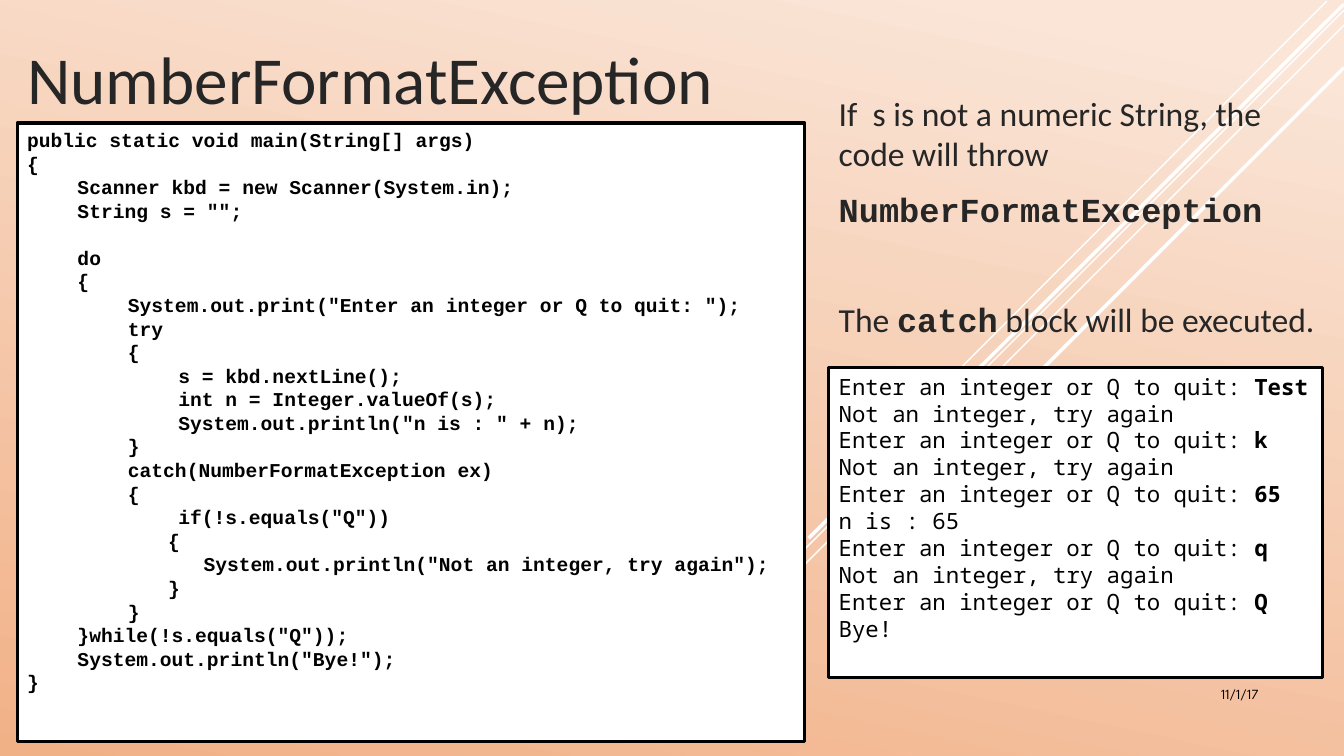
import pptx
import pptx.dml.color
import pptx.enum.shapes
import pptx.enum.text
import pptx.oxml.ns
import pptx.util
from dataclasses import dataclass
from pptx.util import Inches

TITLE = "NumberFormatException"
DATE = "11/1/17"

CODE = [
    (0, "public static void main(String[] args)"),
    (0, "{"),
    (1, "Scanner kbd = new Scanner(System.in);"),
    (1, "String s = \"\";"),
    (1, "do"),
    (1, "{"),
    (2, "System.out.print(\"Enter an integer or Q to quit: \");"),
    (2, "try"),
    (2, "{"),
    (3, "s = kbd.nextLine();"),
    (3, "int n = Integer.valueOf(s);"),
    (3, "System.out.println(\"n is : \" + n);"),
    (2, "}"),
    (2, "catch(NumberFormatException ex)"),
    (2, "{"),
    (3, "if(!s.equals(\"Q\"))"),
    (2.8, "{"),
    (3.5, "System.out.println(\"Not an integer, try again\");"),
    (2.8, "}"),
    (2, "}"),
    (1, "}while(!s.equals(\"Q\"));"),
    (1, "System.out.println(\"Bye!\");"),
    (0, "}"),
]
SECTION_START = "do"

PROMPT = "Enter an integer or Q to quit: "
RETRY = "Not an integer, try again"
SESSION = [("Test", RETRY), ("k", RETRY), ("65", "n is : 65"), ("q", RETRY), ("Q", "Bye!")]

DIAGONALS = [
    ((13.16, 0.01), (9, 4.18), 1),
    ((13.33, 0.1), (6.68, 6.75), 1),
    ((13.33, 0.25), (7.91, 5.67), 1),
    ((13.33, 0.04), (8.02, 5.34), 2.5),
    ((13.33, 0.67), (8.58, 5.42), 2.5),
]


@dataclass(frozen=True)
class Theme:
    paper: str = "FFFFFF"
    ink: str = "000000"
    heading: str = "262626"
    stops: tuple = ((0.07, "FAE5D7"), (1, "F1B187"))
    gradient_angle: int = 258
    body_font: str = "Calibri"
    code_font: str = "Courier New"
    console_font: str = "Noto Sans Mono"
    date_font: str = "League Spartan"
    title_size: int = 48
    body_size: int = 24
    console_size: int = 16
    code_size: int = 14
    date_size: int = 10
    border: float = 2.25
    code_pitch: float = 16.85
    console_pitch: float = 19.2
    tab: float = 0.5


T = Theme()
Pt = pptx.util.Pt
ALIGN = pptx.enum.text.PP_ALIGN
ANCHOR = pptx.enum.text.MSO_ANCHOR
NOTE = [
    dict(runs=["If  s is not a numeric String, the code will throw"], before=5),
    dict(runs=[("NumberFormatException", True, T.code_font)], before=5),
    dict(runs=["The ", ("catch", True, T.code_font), " block will be executed."], before=44),
]


def rgb(value):
    return pptx.dml.color.RGBColor.from_string(value)


def add_text(sp, paragraphs, font, size, color, bold=False, align=ALIGN.LEFT,
             anchor=ANCHOR.TOP, pitch=None, after=0):
    tf = sp.text_frame
    tf.word_wrap = True
    tf.vertical_anchor = anchor
    for i, item in enumerate(paragraphs):
        p = tf.add_paragraph() if i else tf.paragraphs[0]
        p.alignment = align
        p.space_before = Pt(item.get("before", 0))
        p.space_after = Pt(after)
        if pitch:
            p.line_spacing = Pt(pitch)
        if item.get("indent"):
            p._p.get_or_add_pPr().set("marL", str(Inches(item["indent"])))
        for run in item["runs"]:
            text, strong, face = (run, bold, font) if isinstance(run, str) else run
            r = p.add_run()
            r.text = text
            r.font.name = face
            r.font.size = Pt(size)
            r.font.bold = strong
            r.font.color.rgb = rgb(color)


def add_box(s, *frame):
    return s.shapes.add_textbox(*map(Inches, frame))


def add_panel(s, *frame):
    sp = s.shapes.add_shape(pptx.enum.shapes.MSO_SHAPE.RECTANGLE, *map(Inches, frame))
    sp.shadow.inherit = False
    sp.fill.solid()
    sp.fill.fore_color.rgb = rgb(T.paper)
    sp.line.color.rgb = rgb(T.ink)
    sp.line.width = Pt(T.border)
    return sp


def add_background(s):
    fill = s.background.fill
    fill.gradient()
    fill.gradient_angle = T.gradient_angle
    for stop, (position, color) in zip(fill.gradient_stops, T.stops):
        stop.position = position
        stop.color.rgb = rgb(color)
    for start, end, width in DIAGONALS:
        line = s.shapes.add_connector(pptx.enum.shapes.MSO_CONNECTOR.STRAIGHT,
                                      *map(Inches, start + end))
        line.line.color.rgb = rgb(T.paper)
        line.line.width = Pt(width)
        line._element.spPr.append(pptx.oxml.parse_xml(
            "<a:effectLst %s/>" % pptx.oxml.ns.nsdecls("a")))


def main():
    prs = pptx.Presentation()
    prs.slide_width, prs.slide_height = Inches(13.33), Inches(7.5)
    s = prs.slides.add_slide(prs.slide_layouts[6])
    add_background(s)

    add_text(add_box(s, 10.83, 6.75, 1.75, 0.4), [dict(runs=[DATE])],
             T.date_font, T.date_size, T.ink, align=ALIGN.RIGHT)

    code = [dict(runs=[text], indent=level * T.tab,
                 before=T.code_pitch if text == SECTION_START else 0)
            for level, text in CODE]
    add_text(add_panel(s, 0.17, 1.22, 7.81, 6.14), code,
             T.code_font, T.code_size, T.ink, bold=True, pitch=T.code_pitch)

    add_text(add_box(s, 8.22, 0.87, 5.04, 2.59), NOTE,
             T.body_font, T.body_size, T.heading, after=6)
    add_text(add_box(s, 0.17, 0.19, 8.75, 1.03), [dict(runs=[TITLE])],
             T.body_font, T.title_size, T.heading, anchor=ANCHOR.BOTTOM)

    console = [dict(runs=runs) for entry, reply in SESSION
               for runs in ([PROMPT, (entry, True, T.console_font)], [reply])]
    add_text(add_panel(s, 8.22, 3.65, 4.9, 3.07), console,
             T.console_font, T.console_size, T.ink, pitch=T.console_pitch)

    prs.save("out.pptx")


if __name__ == "__main__":
    main()
